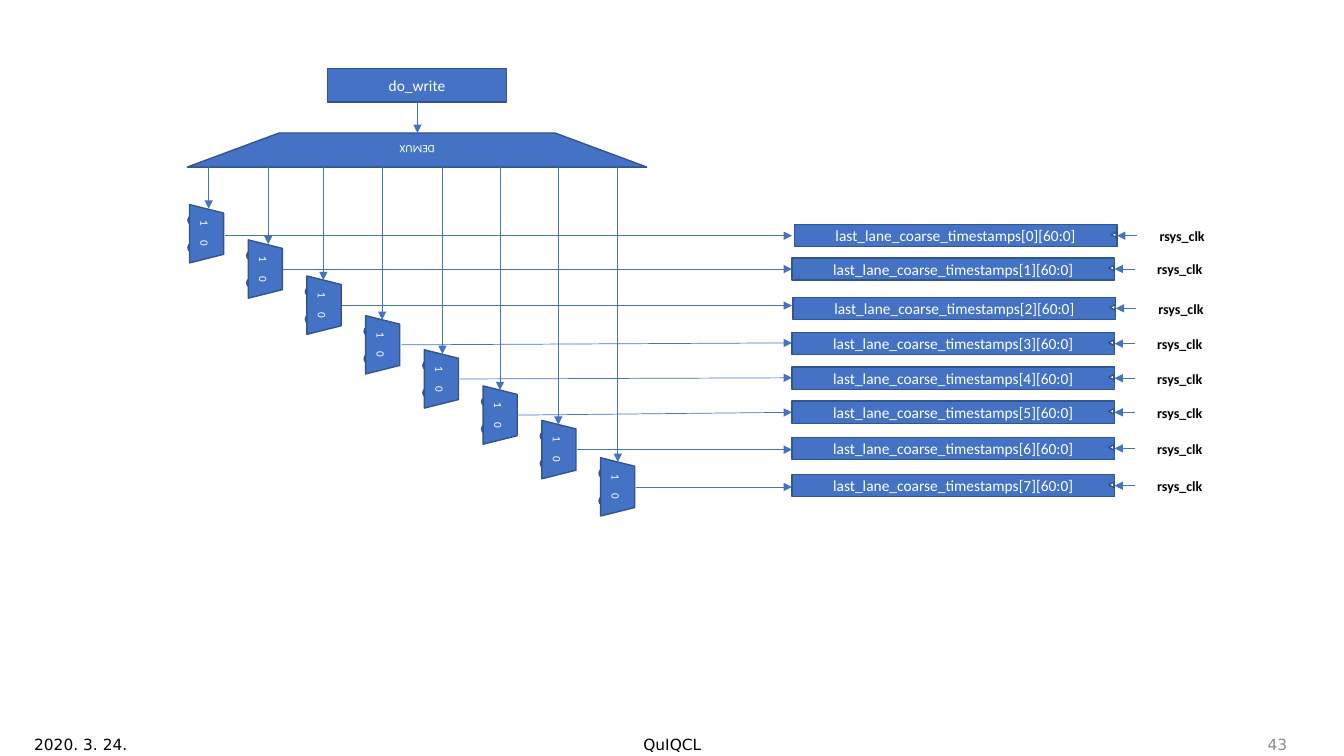
from dataclasses import dataclass

from lxml import etree
from pptx import Presentation
from pptx.dml.color import RGBColor
from pptx.enum.shapes import MSO_CONNECTOR, MSO_SHAPE
from pptx.enum.text import MSO_ANCHOR, PP_ALIGN
from pptx.oxml.ns import qn
from pptx.shapes.autoshape import Shape
from pptx.util import Cm, Pt

RECT, OVAL = MSO_SHAPE.RECTANGLE, MSO_SHAPE.OVAL
TRAPEZOID, TRIANGLE = MSO_SHAPE.TRAPEZOID, MSO_SHAPE.ISOSCELES_TRIANGLE
MANUAL_OPERATION = MSO_SHAPE.FLOWCHART_MANUAL_OPERATION
STRAIGHT, ELBOW = MSO_CONNECTOR.STRAIGHT, MSO_CONNECTOR.ELBOW
LEFT, CENTER, RIGHT = PP_ALIGN.LEFT, PP_ALIGN.CENTER, PP_ALIGN.RIGHT
TOP, MIDDLE = MSO_ANCHOR.TOP, MSO_ANCHOR.MIDDLE

BLUE, OUTLINE, WHITE, BLACK, GREY = "4472C4", "325491", "FFFFFF", "000000", "8C8C8C"

DEMUX_BOTTOM = 4.2
MUX_LEFT, MUX_STEP, MUX_W, MUX_H = 4.47, 1.48, 1.47, 0.86
MUX_INPUTS = [(0.28, -0.05, 0.25), (0.28, 0.64, 0.25), (0.3, -0.03, 0.3), (0.33, 0.61, 0.3)]
REGISTER_W, REGISTER_H = 8.13, 0.56
CLOCK_DX = 8.64


@dataclass
class Lane:
    mux_top: float
    select_x: float
    wire_start_y: float
    wire_end_y: float
    register_left: float
    register_top: float


LANES = [
    Lane(5.46, 5.26, 5.94, 5.94, 20.02, 5.66),
    Lane(6.35, 6.76, 6.78, 6.78, 19.96, 6.5),
    Lane(7.26, 8.15, 7.7, 7.7, 19.99, 7.49),
    Lane(8.26, 9.63, 8.69, 8.64, 19.96, 8.38),
    Lane(9.12, 11.15, 9.55, 9.52, 19.96, 9.25),
    Lane(10.03, 12.6, 10.46, 10.39, 19.96, 10.11),
    Lane(10.9, 14.07, 11.33, 11.33, 19.96, 11.02),
    Lane(11.84, 15.57, 12.27, 12.27, 19.96, 11.96),
]


@dataclass
class Footer:
    text: str
    left: float
    width: float
    align: PP_ALIGN
    color: str


FOOTERS = [
    Footer("2020. 3. 24.", 0.61, 7.62, LEFT, BLACK),
    Footer("QuIQCL", 11.23, 11.43, CENTER, BLACK),
    Footer("43", 25.07, 7.62, RIGHT, GREY),
]


def rgb(color: str) -> RGBColor:
    return RGBColor.from_string(color)


def write(sp: Shape, text: str, size: float, color: str = WHITE, align: PP_ALIGN = CENTER,
          anchor: MSO_ANCHOR = MIDDLE, font: str = "Calibri", bold: bool = False) -> None:
    tf = sp.text_frame
    tf.text = text
    tf.word_wrap = True
    tf.vertical_anchor = anchor
    p = tf.paragraphs[0]
    p.alignment = align
    for r in p.runs:
        r.font.name, r.font.size, r.font.bold = font, Pt(size), bold
        r.font.color.rgb = rgb(color)


def add_block(shapes, kind: MSO_SHAPE, left: float, top: float, width: float, height: float,
              rotation: float = 0, fill: str = BLUE) -> Shape:
    sp = shapes.add_shape(kind, Cm(left), Cm(top), Cm(width), Cm(height))
    sp.rotation = rotation
    sp.shadow.inherit = False
    sp.fill.solid()
    sp.fill.fore_color.rgb = rgb(fill)
    sp.line.color.rgb = rgb(OUTLINE)
    sp.line.width = Pt(1)
    return sp


def add_label(shapes, left: float, top: float, width: float, height: float) -> Shape:
    return shapes.add_textbox(Cm(left), Cm(top), Cm(width), Cm(height))


def add_arrow(shapes, x1: float, y1: float, x2: float, y2: float,
              kind: MSO_CONNECTOR = STRAIGHT) -> None:
    line = shapes.add_connector(kind, Cm(x1), Cm(y1), Cm(x2), Cm(y2))
    line.line.color.rgb = rgb(BLUE)
    line.line.width = Pt(0.5)
    etree.SubElement(line.line._get_or_add_ln(), qn("a:tailEnd"), type="triangle")
    etree.SubElement(line._element.spPr, qn("a:effectLst"))


def add_mux(shapes, left: float, top: float) -> None:
    """Draw a two-input multiplexer; left and top are those of the unrotated body."""
    group = shapes.add_group_shape().shapes
    for dx, dy, width in MUX_INPUTS:
        add_block(group, OVAL, left + dx, top + dy, width, 0.28, 90)
    body = add_block(group, TRAPEZOID, left, top, MUX_W, MUX_H, 90)
    write(body, "1\t0", 8, align=LEFT)
    body.text_frame.margin_left, body.text_frame.margin_right = Cm(0.27), 0
    pPr = body.text_frame.paragraphs[0]._p.get_or_add_pPr()
    tabs = etree.SubElement(pPr, qn("a:tabLst"))
    etree.SubElement(tabs, qn("a:tab"), pos=str(Cm(0.5)), algn="l")


def add_register(shapes, index: int, left: float, top: float) -> None:
    """Draw a timestamp register with its clock input."""
    group = shapes.add_group_shape().shapes
    body = add_block(group, RECT, left, top, REGISTER_W, REGISTER_H)
    write(body, f"last_lane_coarse_timestamps[{index}][60:0]", 11)
    add_block(group, TRIANGLE, left + 7.98, top + 0.19, 0.13, 0.13, 270, WHITE)
    clock = add_label(group, left + CLOCK_DX, top - 0.05, 2.26, 0.64)
    write(clock, "rsys_clk", 10, BLACK, anchor=TOP, bold=True)
    clock_y = top + REGISTER_H / 2
    add_arrow(group, left + CLOCK_DX, clock_y, left + REGISTER_W, clock_y, ELBOW)


def main() -> None:
    prs = Presentation()
    prs.slide_width, prs.slide_height = Cm(33.87), Cm(19.05)
    shapes = prs.slides.add_slide(prs.slide_layouts[6]).shapes

    demux = add_block(shapes, MANUAL_OPERATION, 4.72, 3.35, 11.58, 0.86, 180)
    write(demux, "DEMUX", 8)
    do_write = add_block(shapes, RECT, 8.26, 1.73, 4.5, 0.84)
    write(do_write, "do_write", 11)
    add_arrow(shapes, 10.52, 2.57, 10.52, 3.35)

    for i, lane in enumerate(LANES):
        mux_left = MUX_LEFT + i * MUX_STEP
        add_mux(shapes, mux_left, lane.mux_top)
        add_register(shapes, i, lane.register_left, lane.register_top)
        add_arrow(shapes, mux_left + 1.19, lane.wire_start_y, 19.96, lane.wire_end_y)
    for lane in LANES:
        add_arrow(shapes, lane.select_x, DEMUX_BOTTOM, lane.select_x, lane.mux_top - 0.2)

    for footer in FOOTERS:
        label = add_label(shapes, footer.left, 18.26, footer.width, 1.02)
        write(label, footer.text, 11, footer.color, footer.align, font="DejaVu Sans")

    prs.save("out.pptx")


if __name__ == "__main__":
    main()
